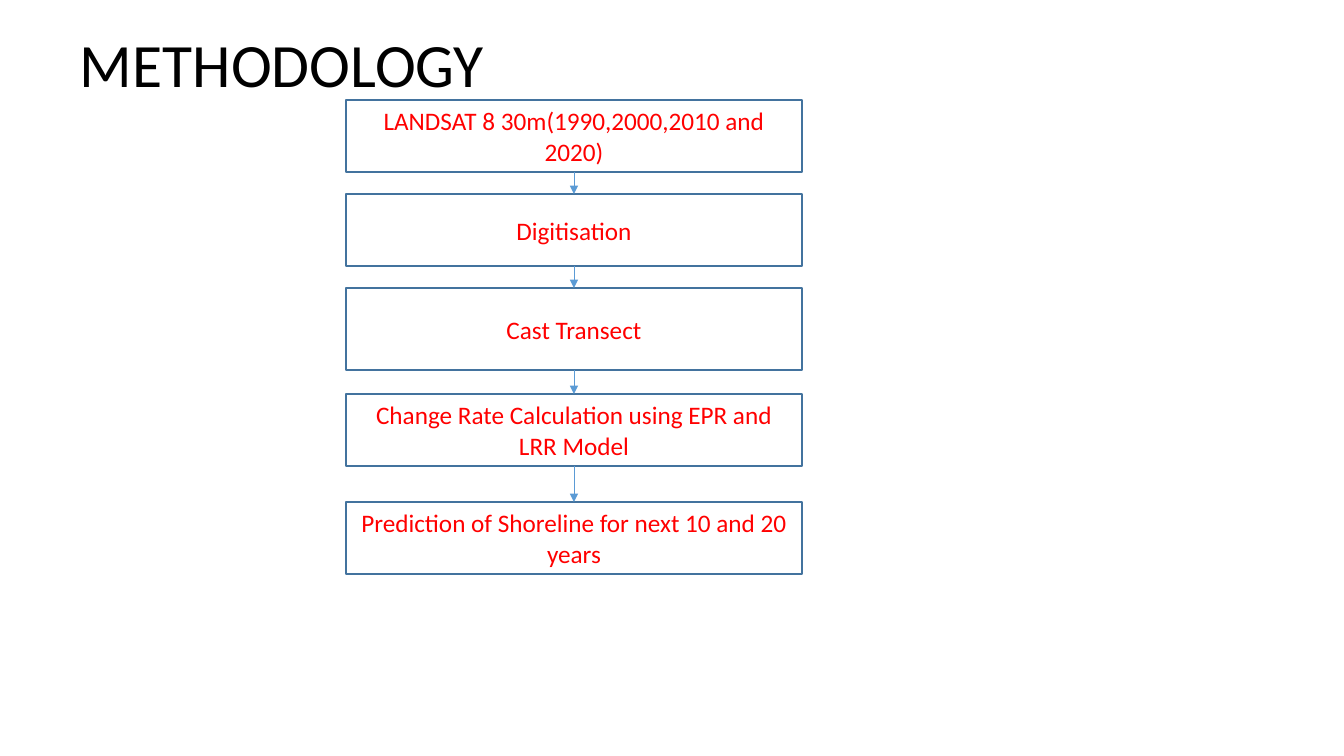
from lxml import etree
from pptx import Presentation
from pptx import util as u
from pptx.dml.color import RGBColor
from pptx.enum import shapes, text
from pptx.oxml import ns

BOTTOM, TOP = 2, 0


def px(length):
    return u.Emu(round(length * 914400 / 100.8))


def color(value):
    return RGBColor.from_string(value)


class FlowSlide:
    font_name = "Calibri"
    title_color = "000000"
    step_color = "FF0000"
    border_color = "43739E"
    arrow_color = "5B9BD5"

    def __init__(self, presentation):
        self.slide = presentation.slides.add_slide(presentation.slide_layouts[6])

    def label(self, shape, wording, size, hex_color, frame_format, paragraph_format):
        frame = shape.text_frame
        paragraph = frame.paragraphs[0]
        run = paragraph.add_run()
        run.text = wording
        font_format = {"name": self.font_name, "size": u.Pt(size)}
        formats = (
            (frame, {"word_wrap": True, **frame_format}),
            (paragraph, paragraph_format),
            (run.font, font_format),
        )
        for target, values in formats:
            for name, value in values.items():
                setattr(target, name, value)
        run.font.color.rgb = color(hex_color)

    def title(self, wording, left, top, width, height):
        shape = self.slide.shapes.add_textbox(*map(px, (left, top, width, height)))
        self.label(shape, wording, 44, self.title_color,
                   {"vertical_anchor": text.MSO_ANCHOR.BOTTOM}, {"line_spacing": 0.85})

    def step(self, wording, left, top, width, height):
        shape = self.slide.shapes.add_shape(
            shapes.MSO_SHAPE.RECTANGLE, *map(px, (left, top, width, height)))
        shape.shadow.inherit = False
        shape.fill.background()
        shape.line.color.rgb = color(self.border_color)
        shape.line.width = u.Pt(1)
        self.label(shape, wording, 18, self.step_color,
                   {"vertical_anchor": text.MSO_ANCHOR.MIDDLE},
                   {"alignment": text.PP_ALIGN.CENTER})
        return shape

    def arrow(self, upper, lower):
        connector = self.slide.shapes.add_connector(
            shapes.MSO_CONNECTOR.STRAIGHT, 0, 0, 0, 0)
        connector.begin_connect(upper, BOTTOM)
        connector.end_connect(lower, TOP)
        connector.line.color.rgb = color(self.arrow_color)
        connector.line.width = u.Pt(0.5)
        line = connector.line._get_or_add_ln()
        etree.SubElement(line, ns.qn("a:tailEnd"), type="triangle")
        etree.SubElement(connector._element.spPr, ns.qn("a:effectLst"))


def main():
    presentation = Presentation()
    presentation.slide_width = px(1344)
    presentation.slide_height = px(756)
    flow = FlowSlide(presentation)
    flow.title("METHODOLOGY", 70, 28, 1159, 77)
    steps = [
        ("LANDSAT 8 30m(1990,2000,2010 and 2020)", 100, 72),
        ("Digitisation", 194, 72),
        ("Cast Transect", 288, 82),
        ("Change Rate Calculation using EPR and LRR Model", 394, 72),
        ("Prediction of Shoreline for next 10 and 20 years", 502, 72),
    ]
    boxes = [flow.step(wording, 346, top, 456, height) for wording, top, height in steps]
    for upper, lower in zip(boxes, boxes[1:]):
        flow.arrow(upper, lower)
    presentation.save("out.pptx")


if __name__ == "__main__":
    main()
